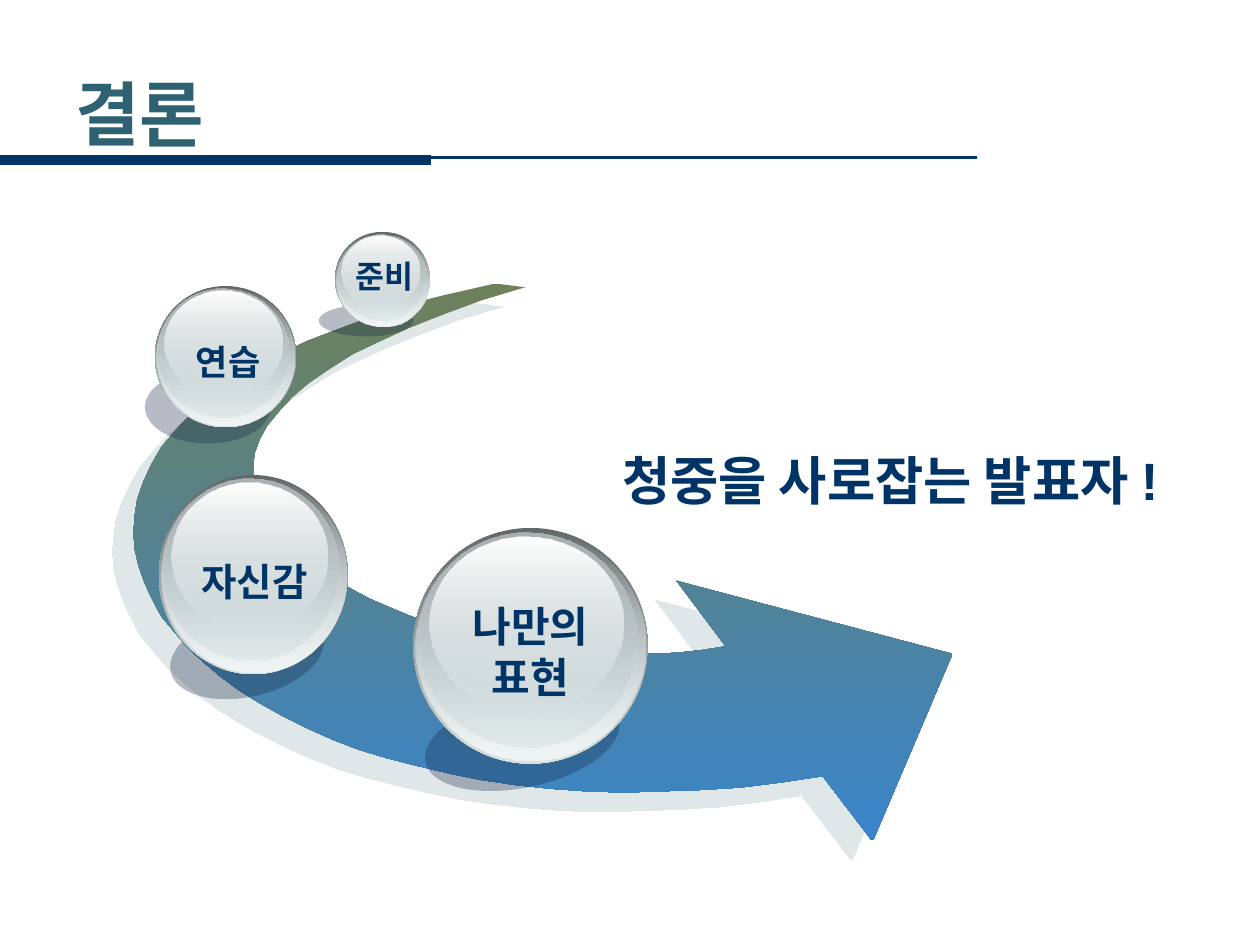
from dataclasses import dataclass
from typing import NamedTuple, Optional

import lxml.etree
import pptx
import pptx.dml.color
import pptx.enum.shapes
import pptx.enum.text
import pptx.oxml.ns
import pptx.util

PX = 9144
PX_PER_POINT = 100 / 72
qn = pptx.oxml.ns.qn


class Box(NamedTuple):
    left: int
    top: int
    width: int
    height: int

    def emu(self) -> list:
        return [pptx.util.Emu(value * PX) for value in self]


class Stop(NamedTuple):
    color: str
    opacity: int = 100


class Layer(NamedTuple):
    left: float
    top: float
    width: float
    height: float
    stops: tuple


@dataclass(frozen=True)
class Theme:
    title_font: str = "DejaVu Sans"
    body_font: str = "Arial"
    title: str = "2E6272"
    navy: str = "003366"
    ball_shadow: str = "0F2145"
    arrow_shadow: str = "C1D1D3"
    arrow: tuple = (Stop("6E815B"), Stop("3984C9"))
    title_size: int = 40
    message_size: int = 30
    label_sizes: tuple = (18, 20, 22, 24)


@dataclass(frozen=True)
class Ball:
    label: str
    size: int
    label_box: Box
    box: Box
    shadow: Box
    tilt: float = 0


THEME = Theme()
GLASS = (
    Layer(0, 0, 1, 1, (Stop("636869"), Stop("D6E1E2"))),
    Layer(0.01, 0.01, 0.98, 0.98, (Stop("D6E1E2", 0), Stop("F1F5F5"))),
    Layer(0.02, 0.02, 0.93, 0.91, (Stop("AAB2B3"), Stop("D6E1E2", 48))),
    Layer(0.07, 0.04, 0.83, 0.74, (Stop("FFFFFF"), Stop("D6E1E2", 38))),
)
SMALL, MEDIUM, LARGE, LARGEST = THEME.label_sizes
BALLS = (
    Ball("나만의 표현", LARGEST, Box(342, 472, 158, 90),
         Box(328, 419, 186, 187), Box(336, 552, 157, 73), 347.9),
    Ball("자신감", LARGE, Box(139, 438, 126, 47),
         Box(126, 377, 150, 158), Box(134, 486, 124, 67), 347.1),
    Ball("연습", MEDIUM, Box(130, 265, 102, 44),
         Box(123, 227, 112, 112), Box(115, 294, 100, 58)),
    Ball("준비", SMALL, Box(254, 199, 102, 40),
         Box(266, 184, 75, 75), Box(253, 242, 75, 25)),
)
OUTER_EDGE = (
    (393, 225), (358, 233), (326, 241), (296, 251), (269, 261), (243, 271),
    (220, 282), (200, 293), (181, 305), (165, 317), (151, 329), (139, 342),
    (128, 355), (120, 369), (114, 382), (109, 396), (107, 409), (106, 423),
    (107, 436), (110, 449), (115, 463), (121, 476), (128, 489), (138, 501),
    (149, 514), (161, 525), (175, 537), (190, 548), (206, 558), (224, 568),
    (244, 578), (264, 587), (285, 595), (308, 602), (332, 608), (357, 614),
    (382, 619), (409, 623), (437, 626), (465, 628), (495, 629), (525, 628),
    (556, 627), (588, 625), (620, 621), (653, 616),
)
ARROWHEAD = ((692, 667), (693, 667), (756, 519), (537, 461))
INNER_EDGE = (
    (576, 513), (557, 516), (538, 518), (518, 519), (499, 519), (479, 519),
    (458, 517), (439, 515), (419, 513), (399, 509), (380, 505), (362, 500),
    (343, 495), (326, 489), (309, 482), (293, 475), (278, 467), (264, 459),
    (251, 451), (239, 442), (229, 433), (220, 423), (213, 413), (207, 403),
    (203, 392), (201, 382), (201, 371), (202, 360), (206, 349), (212, 338),
    (221, 327), (232, 315), (245, 304), (261, 293), (280, 281), (301, 271),
    (325, 260), (353, 249), (383, 238), (417, 228),
)


def rgb(color: str) -> pptx.dml.color.RGBColor:
    return pptx.dml.color.RGBColor.from_string(color)


def set_opacity(color_element, percent: int) -> None:
    alpha = lxml.etree.SubElement(color_element, qn("a:alpha"))
    alpha.set("val", str(percent * 1000))


def fill_gradient(shape, stops: tuple) -> None:
    shape.shadow.inherit = False
    shape.line.fill.background()
    shape.fill.gradient()
    shape.fill.gradient_angle = 270
    for target, stop in zip(shape.fill.gradient_stops, stops):
        target.color.rgb = rgb(stop.color)
        target.position = stops.index(stop)
    colors = list(shape._element.spPr.iter(qn("a:srgbClr")))
    for element, stop in zip(colors, stops):
        if stop.opacity < 100:
            set_opacity(element, stop.opacity)


def add_run(paragraph, text: str, font: str, size: int, color: str) -> None:
    run = paragraph.add_run()
    run.text = text
    run.font.name = font
    run.font.size = pptx.util.Pt(size)
    run.font.bold = True
    run.font.color.rgb = rgb(color)


def add_title(slide, text: str, box: Box) -> None:
    title = slide.shapes.title
    title.left, title.top, title.width, title.height = box.emu()
    frame = title.text_frame
    frame.auto_size = pptx.enum.text.MSO_AUTO_SIZE.NONE
    frame.vertical_anchor = pptx.enum.text.MSO_ANCHOR.MIDDLE
    paragraph = frame.paragraphs[0]
    paragraph.alignment = pptx.enum.text.PP_ALIGN.LEFT
    add_run(paragraph, text, THEME.title_font, THEME.title_size, THEME.title)


def add_text(slide, text: str, box: Box, size: int,
             alignment: Optional[pptx.enum.text.PP_ALIGN] = None) -> None:
    frame = slide.shapes.add_textbox(*box.emu()).text_frame
    frame.word_wrap = True
    frame.auto_size = pptx.enum.text.MSO_AUTO_SIZE.SHAPE_TO_FIT_TEXT
    paragraph = frame.paragraphs[0]
    paragraph.alignment = alignment
    add_run(paragraph, text, THEME.body_font, size, THEME.navy)


def add_rule(slide, right: int, y: int, weight: float) -> None:
    rule = slide.shapes.add_connector(
        pptx.enum.shapes.MSO_CONNECTOR.STRAIGHT, 0, y * PX, right * PX, y * PX)
    rule.line.color.rgb = rgb(THEME.navy)
    rule.line.width = pptx.util.Pt(weight)
    lxml.etree.SubElement(rule._element.spPr, qn("a:effectLst"))


def add_swoosh(slide) -> None:
    start, *rest = OUTER_EDGE + ARROWHEAD + INNER_EDGE
    builder = slide.shapes.build_freeform(*start, scale=float(PX))
    builder.add_line_segments(rest, close=True)
    swoosh = builder.convert_to_shape()
    fill_gradient(swoosh, THEME.arrow)
    effects = swoosh._element.spPr.find(qn("a:effectLst"))
    shadow = lxml.etree.SubElement(effects, qn("a:outerShdw"))
    shadow.set("dist", str(round(16.3 * PX_PER_POINT * PX)))
    shadow.set("dir", str(137 * 60000))
    shadow.set("algn", "ctr")
    shadow.set("rotWithShape", "0")
    color = lxml.etree.SubElement(shadow, qn("a:srgbClr"))
    color.set("val", THEME.arrow_shadow)
    set_opacity(color, 50)


def add_ellipse(slide, box: Box):
    return slide.shapes.add_shape(pptx.enum.shapes.MSO_SHAPE.OVAL, *box.emu())


def add_ball(slide, ball: Ball) -> None:
    shadow = add_ellipse(slide, ball.shadow)
    shadow.rotation = ball.tilt
    shadow.shadow.inherit = False
    shadow.line.fill.background()
    shadow.fill.solid()
    shadow.fill.fore_color.rgb = rgb(THEME.ball_shadow)
    set_opacity(next(shadow._element.spPr.iter(qn("a:srgbClr"))), 30)
    left, top, width, height = ball.box
    for layer in GLASS:
        box = Box(round(left + layer.left * width), round(top + layer.top * height),
                  round(layer.width * width), round(layer.height * height))
        fill_gradient(add_ellipse(slide, box), layer.stops)


def main() -> None:
    deck = pptx.Presentation()
    deck.slide_width, deck.slide_height = 1000 * PX, 750 * PX
    slide = deck.slides.add_slide(deck.slide_layouts[5])
    add_rule(slide, 775, 125, 1.5)
    add_rule(slide, 342, 127, 6)
    add_title(slide, "결론", Box(50, 58, 842, 62))
    add_swoosh(slide)
    for ball in BALLS:
        add_ball(slide, ball)
    add_text(slide, "청중을 사로잡는 발표자 !", Box(484, 351, 488, 60), THEME.message_size)
    for ball in BALLS:
        add_text(slide, ball.label, ball.label_box, ball.size,
                 pptx.enum.text.PP_ALIGN.CENTER)
    deck.save("out.pptx")


if __name__ == "__main__":
    main()
